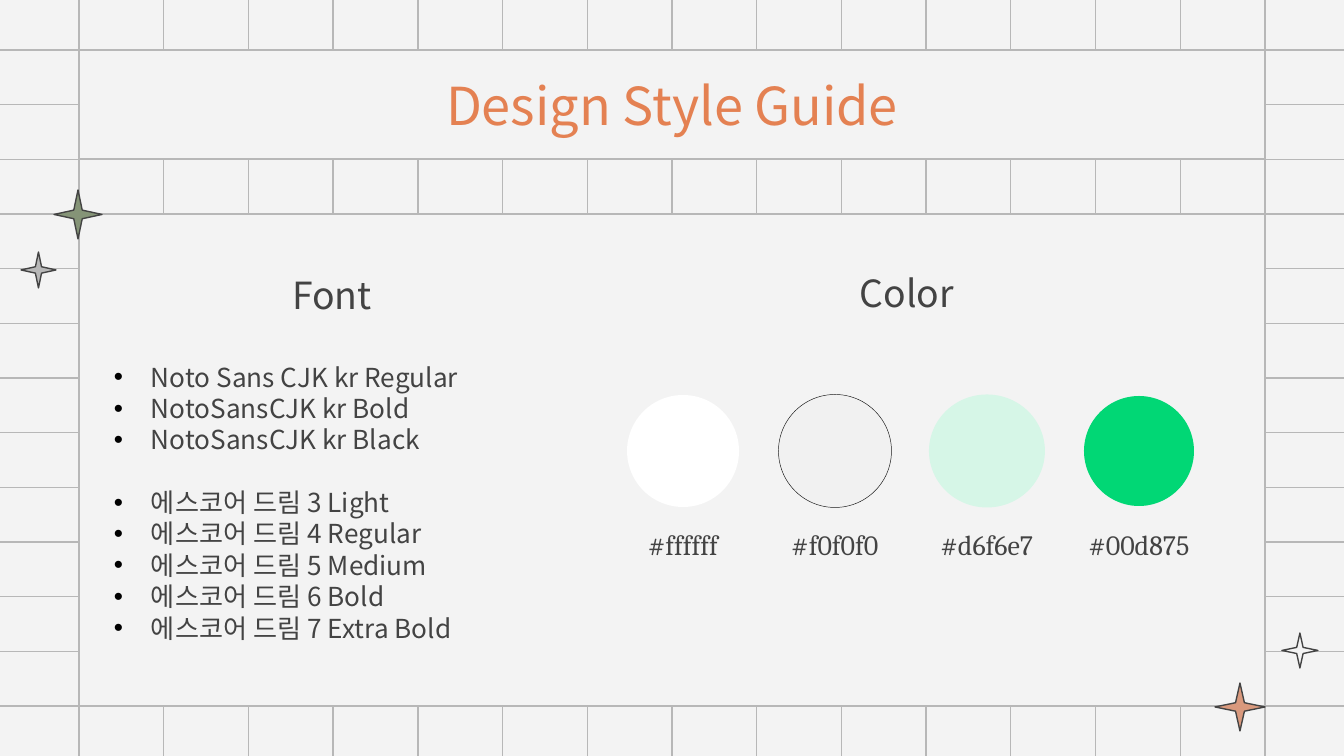
from dataclasses import dataclass

from lxml import etree
from pptx import Presentation
from pptx.dml.color import RGBColor
from pptx.enum import shapes, text
from pptx.oxml import ns
from pptx import util as u

SCALE = 914400 / 134.4  # EMU in one px
WIDTH, HEIGHT = 1344, 756
INSET = 13


@dataclass(frozen=True)
class Theme:
    paper: str = "F3F3F3"
    grid: str = "B7B7B7"
    ink: str = "434343"
    accent: str = "E48152"
    clay: str = "D9997D"
    sage: str = "859477"
    outline: str = "181818"
    sans: str = "Noto Sans CJK KR"
    serif: str = "Cambria"
    title_size: int = 28
    heading_size: int = 20
    label_size: int = 15
    body_size: int = 14
    body_pitch: float = 16.8


THEME = Theme()


def px(*lengths):
    return [u.Emu(round(length * SCALE)) for length in lengths]


def add_line(slide, start, end):
    line = slide.shapes.add_connector(
        shapes.MSO_CONNECTOR.STRAIGHT, *px(*start, *end))
    line.line.color.rgb = RGBColor.from_string(THEME.grid)
    line.line.width = u.Pt(0.75)
    etree.SubElement(line._element.spPr, ns.qn("a:effectLst"))


def add_shape(slide, kind, box, fill, outline=None, line_width=0.75):
    shape = slide.shapes.add_shape(kind, *px(*box))
    shape.shadow.inherit = False
    shape.fill.solid()
    shape.fill.fore_color.rgb = RGBColor.from_string(fill)
    if outline:
        shape.line.color.rgb = RGBColor.from_string(outline)
        shape.line.width = u.Pt(line_width)
    else:
        shape.line.fill.background()
    return shape


def add_bullet(paragraph):
    properties = paragraph._p.get_or_add_pPr()
    properties.set("marL", str(px(37)[0]))
    properties.set("indent", str(px(-37)[0]))
    colour = etree.SubElement(properties, ns.qn("a:buClr"))
    etree.SubElement(colour, ns.qn("a:srgbClr"), val="000000")
    etree.SubElement(properties, ns.qn("a:buFont"), typeface="Arial")
    etree.SubElement(properties, ns.qn("a:buChar"), char="•")


def set_text(shape, *lines, size, font=THEME.sans, color=THEME.ink,
             align=text.PP_ALIGN.CENTER, anchor=text.MSO_ANCHOR.MIDDLE,
             bullets=False, pitch=None):
    frame = shape.text_frame
    frame.word_wrap = True
    frame.vertical_anchor = anchor
    (frame.margin_left, frame.margin_top,
     frame.margin_right, frame.margin_bottom) = px(*[INSET] * 4)
    for index, line in enumerate(lines):
        paragraph = frame.paragraphs[0] if index == 0 else frame.add_paragraph()
        if bullets:
            add_bullet(paragraph)
        paragraph.alignment = align
        if pitch:
            paragraph.line_spacing = u.Pt(pitch)
        run = paragraph.add_run()
        run.text = line
        run.font.size = u.Pt(size)
        run.font.name = font
        run.font.color.rgb = RGBColor.from_string(color)
        etree.SubElement(run._r.rPr, ns.qn("a:ea"), typeface=font)
    return frame


def add_text(slide, box, *lines, **style):
    return set_text(slide.shapes.add_textbox(*px(*box)), *lines, **style)


def draw_grid(slide, box):
    """Rule 14 columns and 12 rows over the box, each line in two halves."""
    left, top, width, height = box
    middle_x, middle_y = left + width / 2, top + height / 2
    bleed = 5
    for column in range(15):
        x = left + width * column / 14
        for start, end in ((-bleed, middle_y), (middle_y, HEIGHT + bleed)):
            add_line(slide, (x, start), (x, end))
    for row in range(13):
        y = top + height * row / 12
        for start, end in ((-bleed, middle_x), (middle_x, WIDTH + bleed)):
            add_line(slide, (start, y), (end, y))


def draw_star(slide, box, fill):
    star = add_shape(slide, shapes.MSO_SHAPE.STAR_4_POINT, box, fill, THEME.ink)
    star.adjustments[0] = 0.125


def draw_panel(slide, box):
    add_shape(slide, shapes.MSO_SHAPE.RECTANGLE, box, THEME.paper, THEME.grid)
    left, top, width, height = box
    right, bottom = left + width, top + height
    # Sparkles on two opposite corners
    draw_star(slide, (right - 50, bottom - 23, 50, 48), THEME.clay)
    draw_star(slide, (right + 17, bottom - 73, 36, 35), THEME.paper)
    draw_star(slide, (left - 25, top - 24, 48, 49), THEME.sage)
    draw_star(slide, (left - 58, top + 38, 35, 36), THEME.grid)


def draw_title(slide, box, title):
    banner = add_shape(slide, shapes.MSO_SHAPE.RECTANGLE, box,
                       THEME.paper, THEME.grid)
    set_text(banner, title, size=THEME.title_size, color=THEME.accent)


def draw_fonts(slide, box, heading, groups):
    left, top, width, height = box
    add_text(slide, (left + 174, top, 114, 60), heading,
             size=THEME.heading_size)
    names = [name for group in groups for name in group]
    frame = add_text(slide, (left, top + 83, width, height - 83), *names,
                     size=THEME.body_size, align=text.PP_ALIGN.LEFT,
                     anchor=text.MSO_ANCHOR.TOP, bullets=True,
                     pitch=THEME.body_pitch)
    # One line of space before the second family
    second = frame.paragraphs[len(groups[0])]
    second.space_before = u.Pt(THEME.body_pitch)


def draw_colors(slide, box, heading, swatches):
    left, top, width, height = box
    add_text(slide, (left + 104, top, 382, 60), heading,
             size=THEME.heading_size)
    label_width, label_height, pitch = 142, 46, 152
    for index, (label, fill, (across, down), outline) in enumerate(swatches):
        center = left + label_width / 2 + index * pitch
        add_shape(slide, shapes.MSO_SHAPE.OVAL,
                  (center - across / 2, top + 188 - down / 2, across, down),
                  fill, outline, line_width=0.25)
        add_text(slide, (center - label_width / 2, top + height - label_height,
                         label_width, label_height),
                 label, size=THEME.label_size, font=THEME.serif)


def main():
    presentation = Presentation()
    presentation.slide_width, presentation.slide_height = px(WIDTH, HEIGHT)
    slide = presentation.slides.add_slide(presentation.slide_layouts[6])
    slide.background.fill.solid()
    slide.background.fill.fore_color.rgb = RGBColor.from_string(THEME.paper)

    draw_grid(slide, (79, 50, 1186, 656))
    draw_panel(slide, (79, 214, 1186, 492))
    draw_title(slide, (79, 50, 1186, 109), "Design Style Guide")
    draw_fonts(slide, (101, 265, 461, 388), "Font", (
        ("Noto Sans CJK kr Regular", "NotoSansCJK kr Bold",
         "NotoSansCJK kr Black"),
        ("에스코어 드림 3 Light", "에스코어 드림 4 Regular",
         "에스코어 드림 5 Medium", "에스코어 드림 6 Bold",
         "에스코어 드림 7 Extra Bold"),
    ))
    draw_colors(slide, (612, 263, 598, 304), "Color", (
        ("#ffffff", "FFFFFF", (112, 112), None),
        ("#f0f0f0", "F1F1F1", (113, 113), THEME.outline),
        ("#d6f6e7", "D6F6E7", (116, 113), None),
        ("#00d875", "01D775", (110, 110), None),
    ))
    presentation.save("out.pptx")


if __name__ == "__main__":
    main()
